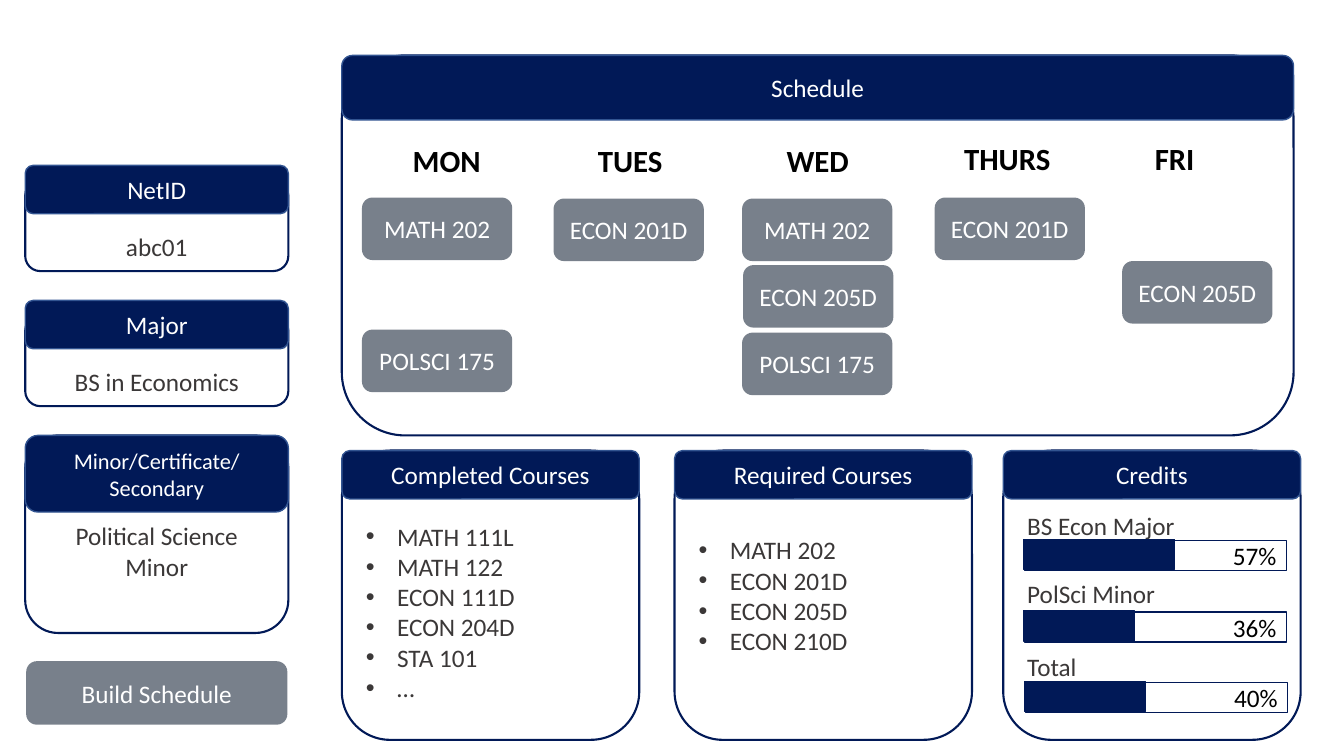
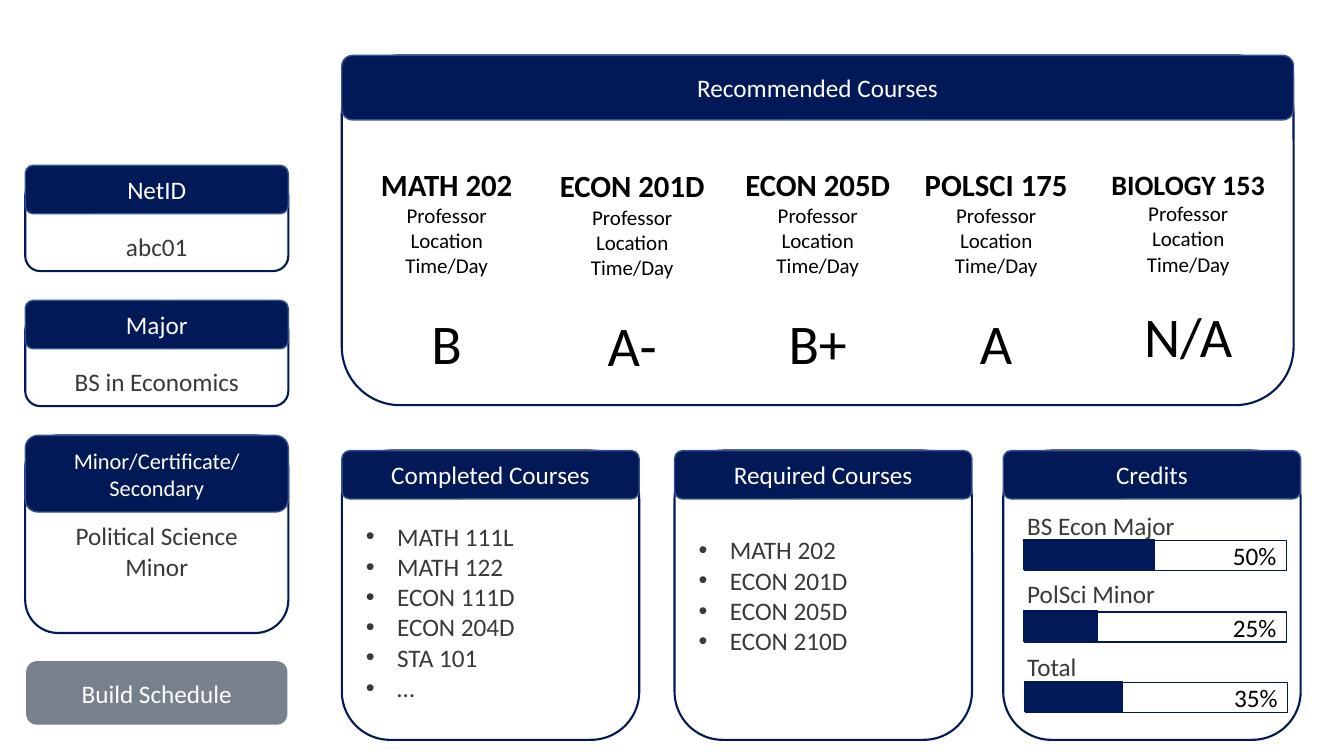
"""Build two slides of a course planner."""
import lxml.etree
import pptx
import pptx.dml.color
import pptx.enum.shapes
import pptx.enum.text
import pptx.oxml.ns
import pptx.util

Inches = pptx.util.Inches
Pt = pptx.util.Pt
ALIGN = pptx.enum.text.PP_ALIGN
ANCHOR = pptx.enum.text.MSO_ANCHOR
KIND = pptx.enum.shapes.MSO_SHAPE

FONT = "Calibri"
NAVY, EDGE, SLATE = "011957", "325491", "333F50"
WHITE, BLACK, INK = "FFFFFF", "000000", "3B3838"
TOP, LOW = 0.55, 4.47
LEFT, SIDE, WIDE = 0.25, 2.61, 9.44
MAIN, CARD = 3.39, 2.95

DONE = ["MATH 111L", "MATH 122", "ECON 111D", "ECON 204D", "STA 101", "…"]
NEED = ["MATH 202", "ECON 201D", "ECON 205D", "ECON 210D"]
METERS = [(10.15, 5.35), (10.15, 6.06), (10.16, 6.76)]
DAYS = [
    ("MON", 3.59, 1.36), ("TUES", 5.41, 1.36), ("WED", 7.27, 1.36),
    ("THURS", 9.15, 1.34), ("FRI", 10.81, 1.34),
]
SLOTS = [
    ("MATH 202", 3.59, 1.96), ("MATH 202", 7.36, 1.97),
    ("ECON 201D", 5.49, 1.97), ("ECON 201D", 9.27, 1.96),
    ("ECON 205D", 11.13, 2.59), ("ECON 205D", 7.37, 2.63),
    ("POLSCI 175", 3.59, 3.27), ("POLSCI 175", 7.36, 3.3),
]
PICKS = [
    ("MATH 202", "B", 3.59, 1.59, 1.68, 22, 22),
    ("ECON 201D", "A-", 5.43, 1.61, 1.68, 22, 22),
    ("ECON 205D", "B+", 7.27, 1.59, 1.68, 22, 22),
    ("POLSCI 175", "A", 9.04, 1.59, 1.68, 22, 22),
    ("BIOLOGY 153", "N/A", 10.92, 1.61, 1.73, 20, 18),
]


def tint(code):
    """Turn a hex string into a colour."""
    return pptx.dml.color.RGBColor.from_string(code)


def write(shape, text, size=18, hue=INK, align=ALIGN.CENTER, bold=False, gap=0):
    """Add one paragraph of text to a shape."""
    frame = shape.text_frame
    para = frame.paragraphs[0]
    if para.runs:
        para = frame.add_paragraph()
    para.alignment = align
    if gap:
        para.space_before = Pt(gap)
    run = para.add_run()
    run.text = text
    run.font.name = FONT
    run.font.size = Pt(size)
    run.font.bold = bold
    run.font.color.rgb = tint(hue)
    return para


def box(shapes, kind, x, y, w, h, fill, line=None, weight=1):
    """Draw a filled preset shape."""
    shape = shapes.add_shape(kind, Inches(x), Inches(y), Inches(w), Inches(h))
    shape.shadow.inherit = False
    shape.fill.solid()
    shape.fill.fore_color.rgb = tint(fill)
    if line:
        shape.line.color.rgb = tint(line)
        shape.line.width = Pt(weight)
    else:
        shape.line.fill.background()
    shape.text_frame.word_wrap = True
    shape.text_frame.vertical_anchor = ANCHOR.MIDDLE
    return shape


def panel(slide, title, x, y, w, h, head=0.48, drop=0, size=18):
    """Draw a white panel under a navy title band and return the panel."""
    shapes = slide.shapes.add_group_shape().shapes
    body = box(shapes, KIND.ROUNDED_RECTANGLE, x, y + drop, w, h, WHITE, NAVY, 1.5)
    band = box(shapes, KIND.ROUNDED_RECTANGLE, x, y, w, head, NAVY, EDGE)
    write(band, title, size, WHITE)
    return body


def hang(body, margin):
    """Start the text of a panel at a set depth."""
    body.text_frame.vertical_anchor = ANCHOR.TOP
    body.text_frame.margin_top = Inches(margin)


def bullets(body, items):
    """Fill a panel with a bulleted list."""
    for item in items:
        props = write(body, item, align=ALIGN.LEFT)._p.get_or_add_pPr()
        props.set("marL", str(Inches(0.31)))
        props.set("indent", str(Inches(-0.31)))
        for tag, key, value in (("a:buFont", "typeface", "Arial"), ("a:buChar", "char", "•")):
            lxml.etree.SubElement(props, pptx.oxml.ns.qn(tag)).set(key, value)


def meter(slide, x, y, share, done):
    """Draw a progress bar with its share at the right."""
    shapes = slide.shapes.add_group_shape().shapes
    track = box(shapes, KIND.RECTANGLE, x + 0.01, y + 0.01, 2.6, 0.3, WHITE, NAVY)
    write(track, share, hue=BLACK, align=ALIGN.RIGHT)
    box(shapes, KIND.RECTANGLE, x, y, done, 0.3, NAVY, NAVY)


def button(slide, text, x, y, w=1.49, h=0.62):
    """Draw a see-through grey button."""
    shape = box(slide.shapes, KIND.ROUNDED_RECTANGLE, x, y, w, h, SLATE)
    hue = shape.fill._xPr.find(".//" + pptx.oxml.ns.qn("a:srgbClr"))
    lxml.etree.SubElement(hue, pptx.oxml.ns.qn("a:alpha")).set("val", "66000")
    write(shape, text, hue=WHITE)


def label(slide, x, y, w, h):
    """Add an empty wrapping text box."""
    shape = slide.shapes.add_textbox(Inches(x), Inches(y), Inches(w), Inches(h))
    frame = shape.text_frame
    frame.word_wrap = True
    frame.margin_left = frame.margin_right = 0
    return shape


def base(deck, title, height, meters):
    """Add a slide with the panels that both slides share."""
    slide = deck.slides.add_slide(deck.slide_layouts[6])
    for name, text, y in (("NetID", "abc01", 1.64), ("Major", "BS in Economics", 2.98)):
        body = panel(slide, name, LEFT, y, SIDE, 0.9, drop=0.15)
        body.text_frame.vertical_anchor = ANCHOR.BOTTOM
        write(body, text)
    minor = panel(slide, "Minor/Certificate/ Secondary", LEFT, 4.32, SIDE, 1.96, 0.76, size=16)
    hang(minor, 0.75)
    write(minor, "Political Science Minor")

    panel(slide, title, MAIN, TOP, WIDE, height, 0.64)
    past = panel(slide, "Completed Courses", MAIN, LOW, CARD, 2.87)
    hang(past, 0.56)
    bullets(past, DONE)
    bullets(panel(slide, "Required Courses", 6.69, LOW, CARD, 2.87), NEED)

    credits = panel(slide, "Credits", 9.95, LOW, CARD, 2.87)
    hang(credits, 0.45)
    for name, gap in (("BS Econ Major", 0), ("PolSci Minor", 27), ("Total", 31)):
        write(credits, name, align=ALIGN.LEFT, gap=gap)
    for (x, y), (share, done) in zip(METERS, meters):
        meter(slide, x, y, share, done)
    button(slide, "Build Schedule", 0.26, 6.56, 2.59, 0.63)
    return slide


def week(deck):
    """Build the weekly schedule slide."""
    slide = base(deck, "Schedule", 3.77, [("57%", 1.5), ("36%", 1.1), ("40%", 1.2)])
    for day, x, y in DAYS:
        write(label(slide, x, y, 1.68, 0.47), day, 22, BLACK, bold=True)
    for course, x, y in SLOTS:
        button(slide, course, x, y)


def advice(deck):
    """Build the recommended courses slide."""
    slide = base(deck, "Recommended Courses", 3.47, [("50%", 1.3), ("25%", 0.73), ("35%", 0.97)])
    for course, grade, x, y, w, size, gap in PICKS:
        card = label(slide, x, y, w, 2.2)
        write(card, course, size, BLACK, bold=True)
        for text in ("Professor", "Location", "Time/Day"):
            write(card, text, 15, BLACK)
        write(card, grade, 40, BLACK, gap=gap)


def main():
    """Build and save the deck."""
    deck = pptx.Presentation()
    deck.slide_width, deck.slide_height = Inches(13.33), Inches(7.5)
    week(deck)
    advice(deck)
    deck.save("out.pptx")


if __name__ == "__main__":
    main()
